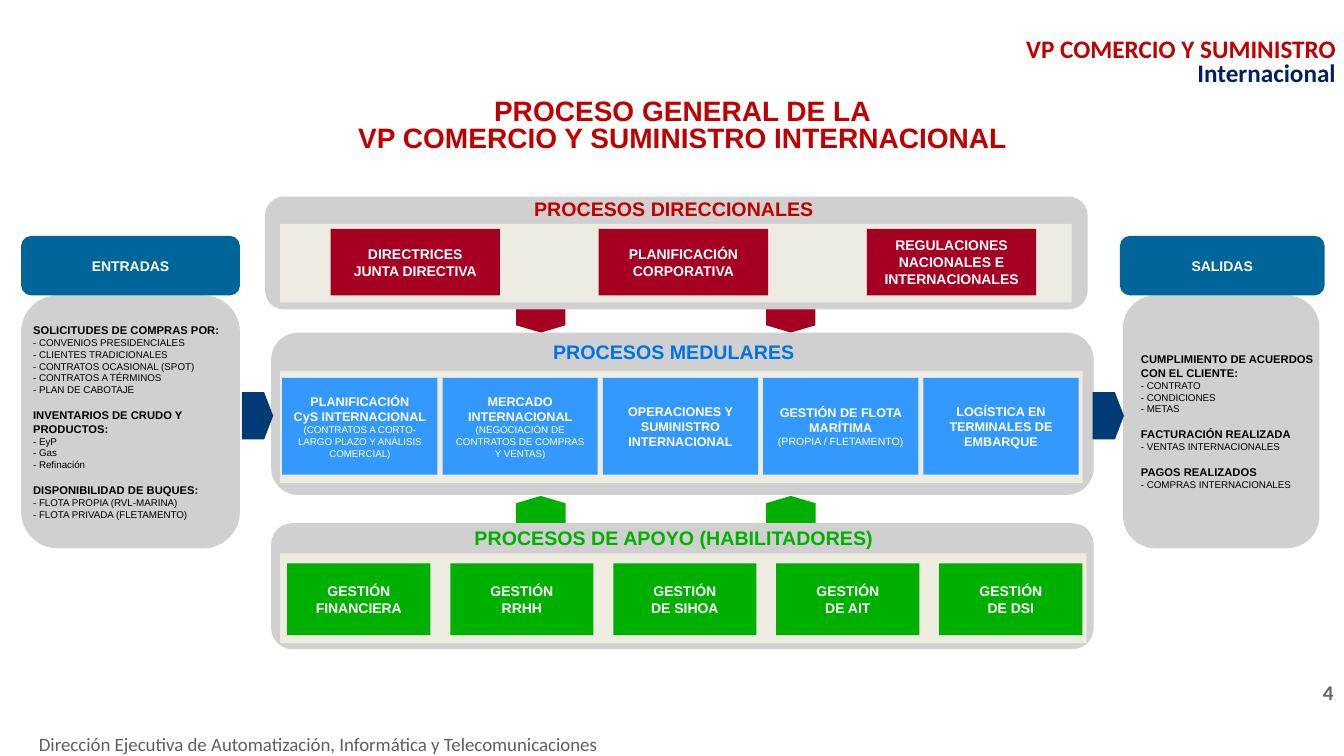
from dataclasses import dataclass

from pptx import Presentation
from pptx.dml.color import RGBColor
from pptx.enum.shapes import MSO_SHAPE
from pptx.enum.text import MSO_ANCHOR, PP_ALIGN
from pptx.util import Inches, Pt

RECT = MSO_SHAPE.RECTANGLE
ROUND = MSO_SHAPE.ROUNDED_RECTANGLE
PENTAGON = MSO_SHAPE.PENTAGON
LEFT, CENTER, RIGHT = PP_ALIGN.LEFT, PP_ALIGN.CENTER, PP_ALIGN.RIGHT
TOP, MIDDLE = MSO_ANCHOR.TOP, MSO_ANCHOR.MIDDLE
COLS, ROWS = 133.33, 75


@dataclass(frozen=True)
class Theme:
    """Colours, fonts and type sizes of the slide."""
    body: str = "Arial"
    corporate: str = "Calibri"
    panel: str = "D0D0D0"
    tray: str = "EEECE1"
    red: str = "C00000"
    crimson: str = "A50021"
    azure: str = "0072E4"
    sky: str = "3399FF"
    green: str = "00B000"
    teal: str = "006699"
    navy: str = "003B76"
    brand_navy: str = "002060"
    white: str = "FFFFFF"
    black: str = "000000"
    footer_grey: str = "5F5F5F"
    number_grey: str = "666666"
    title: float = 20
    header: float = 18
    number: float = 15
    band: float = 14
    footer: float = 13.5
    label: float = 10
    core: float = 9
    topic: float = 8
    flota_note: float = 7.5
    note: float = 7
    tight: float = 0.8
    gap: float = 9.2


T = Theme()

ENTRADAS = [
    ("SOLICITUDES DE COMPRAS POR:",
     ["CONVENIOS PRESIDENCIALES", "CLIENTES TRADICIONALES", "CONTRATOS OCASIONAL (SPOT)",
      "CONTRATOS A TÉRMINOS", "PLAN DE CABOTAJE"]),
    ("INVENTARIOS DE CRUDO Y PRODUCTOS:", ["EyP", "Gas", "Refinación"]),
    ("DISPONIBILIDAD DE BUQUES:",
     ["FLOTA PROPIA (RVL-MARINA)", "FLOTA PRIVADA (FLETAMENTO)"]),
]
SALIDAS = [
    ("CUMPLIMIENTO DE ACUERDOS CON EL CLIENTE:", ["CONTRATO", "CONDICIONES", "METAS"]),
    ("FACTURACIÓN REALIZADA", ["VENTAS INTERNACIONALES"]),
    ("PAGOS REALIZADOS", ["COMPRAS INTERNACIONALES"]),
]
DIRECCIONALES = [
    (["DIRECTRICES", "JUNTA DIRECTIVA"],),
    (["PLANIFICACIÓN", "CORPORATIVA"],),
    (["REGULACIONES", "NACIONALES E", "INTERNACIONALES"],),
]
MEDULARES = [
    (["PLANIFICACIÓN", "CyS INTERNACIONAL"],
     "(CONTRATOS A CORTO-LARGO PLAZO Y ANÁLISIS COMERCIAL)", T.note),
    (["MERCADO", "INTERNACIONAL"],
     "(NEGOCIACIÓN DE CONTRATOS DE COMPRAS Y VENTAS)", T.note),
    (["OPERACIONES Y SUMINISTRO INTERNACIONAL"],),
    (["GESTIÓN DE FLOTA MARÍTIMA"], "(PROPIA / FLETAMENTO)", T.flota_note),
    (["LOGÍSTICA EN TERMINALES DE EMBARQUE"],),
]
APOYO = [(["GESTIÓN", area],)
         for area in ("FINANCIERA", "RRHH", "DE SIHOA", "DE AIT", "DE DSI")]


def grid(prs, cell):
    """Turn left, top, width and height in grid units into slide lengths."""
    col, row = prs.slide_width / COLS, prs.slide_height / ROWS
    return [round(n * unit) for n, unit in zip(cell, (col, row, col, row))]


def style(p, size, color, bold=True, font=T.body, align=CENTER):
    """Set the font and alignment of a paragraph."""
    p.alignment = align
    p.font.name, p.font.size, p.font.bold = font, Pt(size), bold
    p.font.color.rgb = RGBColor.from_string(color)


def add_line(tf, text, *args, **kwargs):
    """Add a styled paragraph, using the empty first one when it is free."""
    p = tf.paragraphs[0]
    if p.runs:
        p = tf.add_paragraph()
    p.add_run().text = text
    style(p, *args, **kwargs)
    return p


def add_block(prs, s, kind, cell, fill, adjust=None, rotation=0):
    """Add a plain filled shape."""
    sp = s.shapes.add_shape(kind, *grid(prs, cell))
    sp.shadow.inherit = False
    sp.fill.solid()
    sp.fill.fore_color.rgb = RGBColor.from_string(fill)
    sp.line.fill.background()
    sp.rotation = rotation
    if adjust is not None:
        sp.adjustments[0] = adjust
    return sp


def add_box(prs, s, cell, anchor=TOP):
    """Add a wrapping text box and return its text frame."""
    tf = s.shapes.add_textbox(*grid(prs, cell)).text_frame
    tf.word_wrap, tf.vertical_anchor = True, anchor
    return tf


def add_label(prs, s, kind, cell, fill, size, lines, note=None, note_size=None):
    """Add a filled shape with white bold lines and an optional light note."""
    tf = add_block(prs, s, kind, cell, fill).text_frame
    tf.word_wrap, tf.vertical_anchor = True, MIDDLE
    for line in lines:
        add_line(tf, line, size, T.white)
    if note:
        add_line(tf, note, note_size, T.white, bold=False)


def add_side(prs, s, name, header, panel, text, topics):
    """Add an inputs or outputs column: panel, header and topic lists."""
    add_block(prs, s, ROUND, panel, T.panel)
    add_label(prs, s, ROUND, header, T.teal, T.label, [name])
    tf = add_box(prs, s, text, MIDDLE)
    for i, (topic, entries) in enumerate(topics):
        p = add_line(tf, topic, T.topic, T.black, align=LEFT)
        if i:
            p.space_before = Pt(T.gap)
        for entry in entries:
            add_line(tf, f"- {entry}", T.note, T.black, bold=False, align=LEFT)


def add_band(prs, s, name, color, band, heading_row, tray, first, pitch, fill, size, items):
    """Add a process band: panel, heading, tray and a row of equal boxes."""
    add_block(prs, s, ROUND, band, T.panel)
    add_block(prs, s, RECT, tray, T.tray)
    tf = add_box(prs, s, (26.9, heading_row, 79.9, 2.9))
    add_line(tf, name, T.band, color).line_spacing = T.tight
    left, *rest = first
    for i, item in enumerate(items):
        add_label(prs, s, RECT, (left + i * pitch, *rest), fill, size, *item)


def add_headings(prs, s):
    """Add the corporate header, the title, the footer and the page number."""
    p = add_box(prs, s, (93.1, 3.4, 40.4, 5.8)).paragraphs[0]
    style(p, T.header, T.red, font=T.corporate, align=RIGHT)
    p.line_spacing = T.tight
    p.add_run().text = "VP COMERCIO Y SUMINISTRO "
    r = p.add_run()
    r.text = "Internacional"
    r.font.color.rgb = RGBColor.from_string(T.brand_navy)
    tf = add_box(prs, s, (4.7, 9.4, 126, 6.4))
    for line in ("PROCESO GENERAL DE LA", "VP COMERCIO Y SUMINISTRO INTERNACIONAL"):
        add_line(tf, line, T.title, T.red).line_spacing = T.tight
    add_line(add_box(prs, s, (1.6, 72.2, 59.9, 3.2)),
             "Dirección Ejecutiva de Automatización, Informática y Telecomunicaciones",
             T.footer, T.footer_grey, bold=False, font=T.corporate)
    add_line(add_box(prs, s, (128, 66.9, 7.5, 3.2)), "4",
             T.number, T.number_grey, font=T.corporate)


def main():
    """Build the process map slide and save it."""
    prs = Presentation()
    prs.slide_width, prs.slide_height = Inches(13.33), Inches(7.5)
    s = prs.slides.add_slide(prs.slide_layouts[6])
    add_headings(prs, s)
    add_side(prs, s, "ENTRADAS", (2.1, 23.4, 21.7, 5.9), (2.1, 29.3, 21.7, 25.1),
             (2.3, 29.3, 22.7, 25.1), ENTRADAS)
    add_side(prs, s, "SALIDAS", (111.1, 23.4, 20.3, 5.9), (111.4, 29.3, 19.5, 25.1),
             (112.2, 29.3, 19.7, 25.1), SALIDAS)
    for row, color, rotation in ((29.1, T.crimson, 90), (48.2, T.green, 270)):
        for col in (52.2, 77):
            add_block(prs, s, PENTAGON, (col, row, 2.9, 4.9), color, 0.25, rotation)
    add_band(prs, s, "PROCESOS DIRECCIONALES", T.red, (26.3, 19.5, 81.6, 11.2), 19.5,
             (27.8, 22.2, 78.5, 7.8), (32.8, 22.7, 16.8, 6.6), 26.6,
             T.crimson, T.label, DIRECCIONALES)
    add_band(prs, s, "PROCESOS MEDULARES", T.azure, (26.9, 33, 81.6, 16.1), 33.7,
             (27.8, 36.8, 79.6, 11.1), (28, 37.5, 15.4, 9.6), 15.9,
             T.sky, T.core, MEDULARES)
    add_band(prs, s, "PROCESOS DE APOYO (HABILITADORES)", T.green,
             (26.9, 51.9, 81.6, 12.5), 52.1,
             (27.8, 54.9, 80, 8.9), (28.5, 55.9, 14.2, 7.1), 16.17,
             T.green, T.label, APOYO)
    for col in (24, 108.4):
        add_block(prs, s, PENTAGON, (col, 38.9, 3.1, 4.7), T.navy, 0.29)
    prs.save("out.pptx")


if __name__ == "__main__":
    main()
